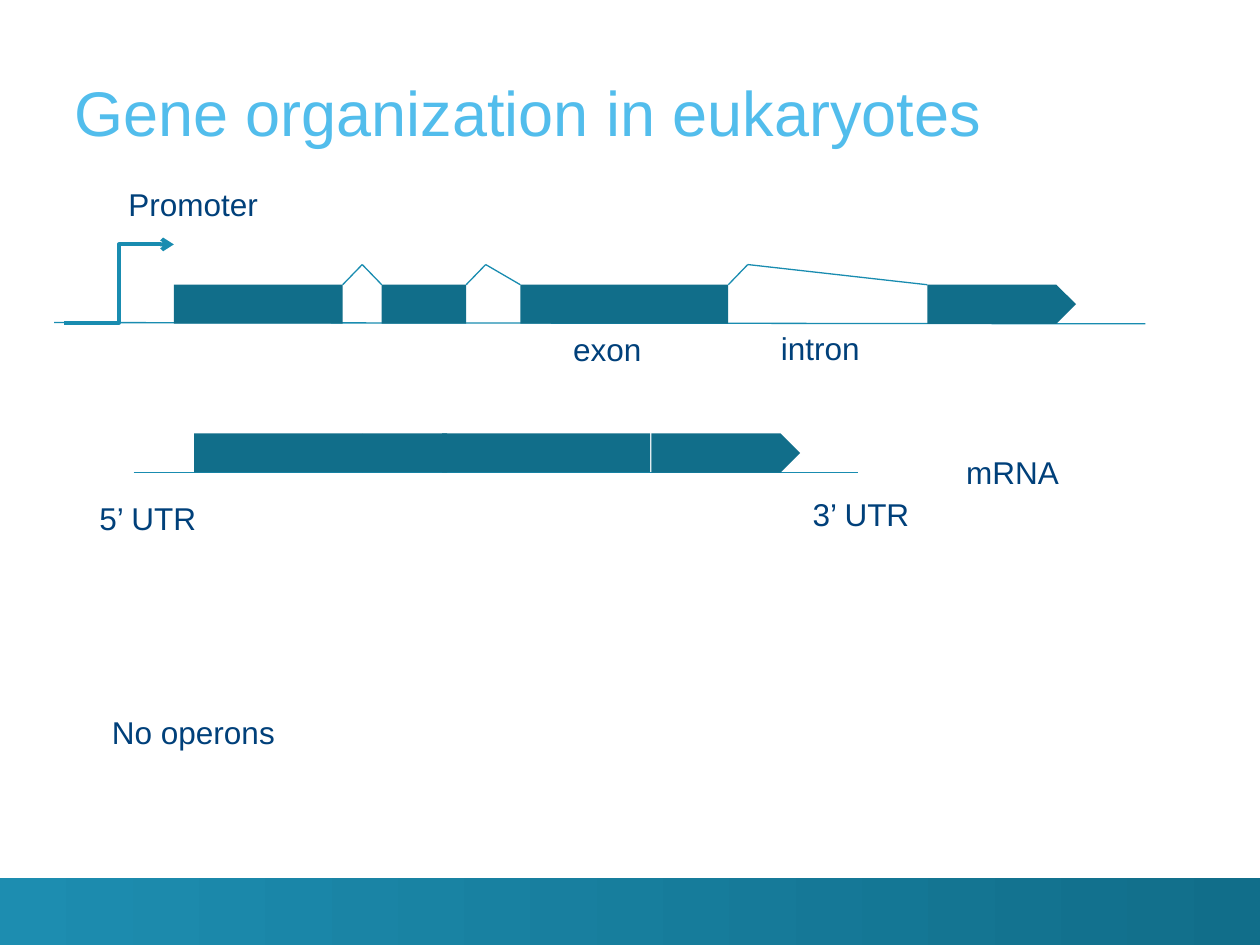
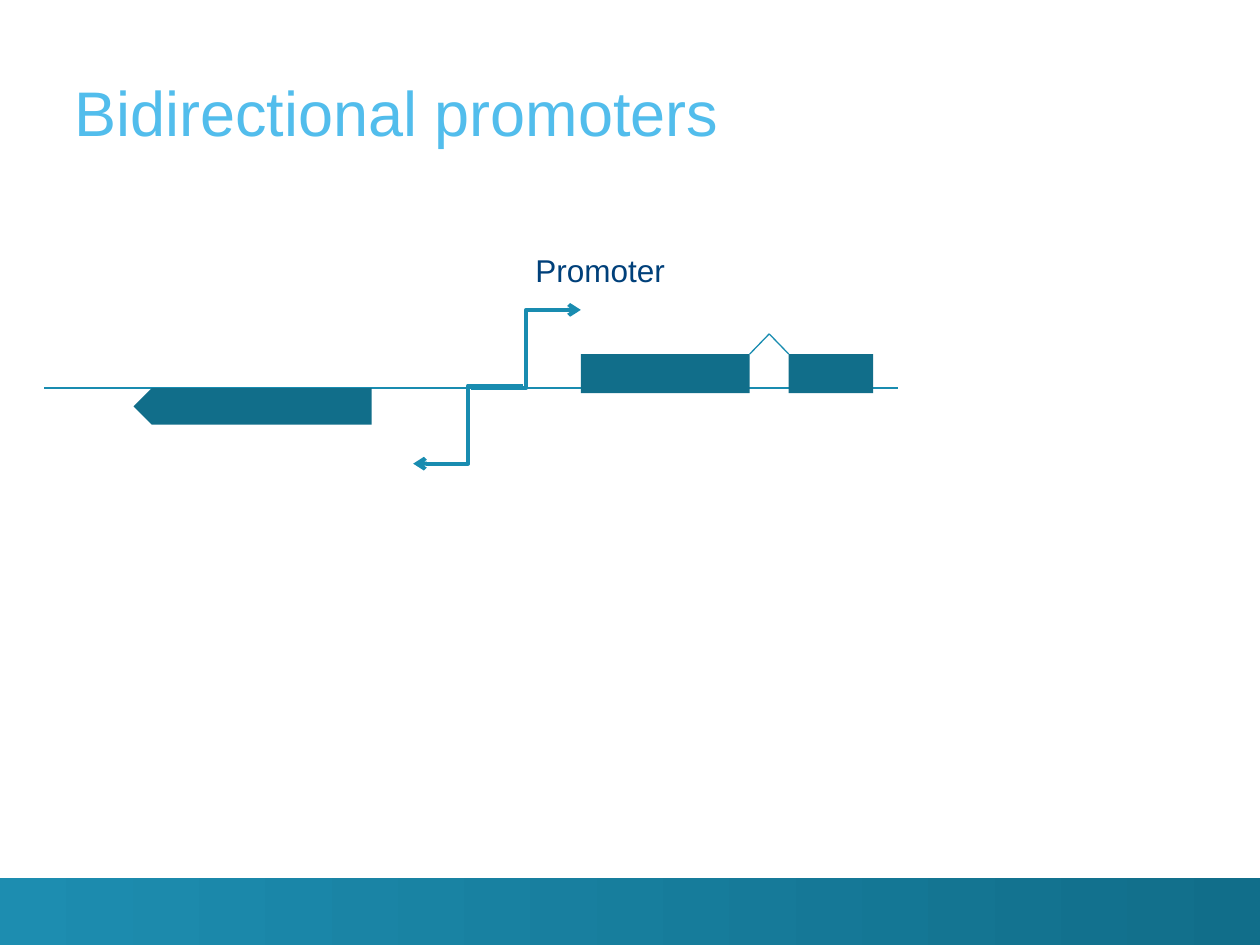
"""Build two slides on eukaryotic gene organization and bidirectional promoters."""
from lxml import etree
from pptx import Presentation
from pptx.dml.color import RGBColor
from pptx.enum import shapes, text
from pptx.oxml.ns import qn
from pptx.util import Inches, Pt

FONT = "Arial"
TITLE, LABEL, LINE, EXON = "52BDEC", "00407A", "198CB0", "116E8A"
BAND = ("1D8DB0", "116E8A")
EXON_H, PEAK_DX, PEAK_DY = 0.31, 0.155, 0.16
ARROW_W, ARROW_H = 0.87, 0.62
RECT, PLATE = shapes.MSO_SHAPE.RECTANGLE, shapes.MSO_SHAPE.PENTAGON
STRAIGHT, ELBOW = shapes.MSO_CONNECTOR.STRAIGHT, shapes.MSO_CONNECTOR.ELBOW

SLIDES = [
    {
        "title": "Gene organization in eukaryotes",
        "strands": [(1.06, 3.75, 6.81, 3.75), (0.43, 2.56, 9.09, 2.57)],
        "exons": [(1.38, 2.26, 1.34, RECT), (3.03, 2.26, 0.67, RECT),
                  (4.13, 2.26, 1.65, RECT), (7.36, 2.26, 1.18, PLATE)],
        "coding": [(1.54, 3.44, 1.34, RECT), (2.88, 3.44, 0.67, RECT),
                   (3.51, 3.44, 1.65, RECT), (5.17, 3.44, 1.18, PLATE)],
        "promoter": (0.51, 2.56),
        "labels": [("intron", 6.1, 2.56, 0.83), ("exon", 4.45, 2.57, 0.75),
                   ("5’ UTR", 0.69, 3.91, 0.98), ("3’ UTR", 6.35, 3.88, 0.98),
                   ("mRNA", 7.57, 3.55, 0.95), ("No operons", 0.79, 5.61, 1.51)],
    },
    {
        "title": "Bidirectional promoters",
        "strands": [(0.35, 3.08, 7.13, 3.08)],
        "exons": [(4.61, 2.81, 1.34, RECT), (6.26, 2.81, 0.67, RECT)],
        "promoter": (3.74, 3.08),
        "reverse_promoter": (4.15, 3.06),
        "reverse_gene": (1.06, 3.08, 1.89, PLATE, 0.29),
    },
]


def rgb(color):
    return RGBColor.from_string(color)


def style_text(tf, size, color):
    for p in tf.paragraphs:
        p.alignment = text.PP_ALIGN.LEFT
        for r in p.runs:
            r.font.name, r.font.size = FONT, Pt(size)
            r.font.color.rgb = rgb(color)


def add_block(s, x, y, w, kind, h=EXON_H):
    sp = s.shapes.add_shape(kind, Inches(x), Inches(y), Inches(w), Inches(h))
    sp.shadow.inherit = False
    sp.fill.solid()
    sp.fill.fore_color.rgb = rgb(EXON)
    sp.line.fill.background()
    return sp


def add_line(s, x1, y1, x2, y2, kind=STRAIGHT, width=0.75):
    line = s.shapes.add_connector(kind, Inches(x1), Inches(y1), Inches(x2), Inches(y2))
    line.line.color.rgb = rgb(LINE)
    line.line.width = Pt(width)
    etree.SubElement(line._element.spPr, qn("a:effectLst"))
    return line


def add_promoter(s, x, y, direction=1):
    arrow = add_line(s, x, y, x + direction * ARROW_W, y - direction * ARROW_H, ELBOW, 2.25)
    ln = arrow.line._get_or_add_ln()
    etree.SubElement(ln, qn("a:tailEnd"), type="arrow")


def add_label(s, label, x, y, w, wrap=False):
    tf = s.shapes.add_textbox(Inches(x), Inches(y), Inches(w), Inches(0.4)).text_frame
    tf.text = label
    tf.word_wrap = wrap
    tf.auto_size = text.MSO_AUTO_SIZE.SHAPE_TO_FIT_TEXT
    style_text(tf, 18, LABEL)


def add_introns(s, exons):
    for (x, y, w, _), (next_x, *_) in zip(exons, exons[1:]):
        end = x + w
        for foot in (end, next_x):
            add_line(s, foot, y, end + PEAK_DX, y - PEAK_DY)


def add_title(s, title):
    sp = s.shapes.title
    sp.left, sp.top, sp.width, sp.height = map(Inches, (0.59, 0.2, 9.11, 0.98))
    tf = sp.text_frame
    tf.text = title
    tf.vertical_anchor = text.MSO_ANCHOR.BOTTOM
    tf.margin_left = tf.margin_top = tf.margin_right = tf.margin_bottom = 0
    style_text(tf, 36, TITLE)


def move_band_to_layout(s):
    band = add_block(s, 0, 6.97, 10, RECT, 0.53)
    band.fill.gradient()
    band.fill.gradient_angle = 0
    for stop, color in zip(band.fill.gradient_stops, BAND):
        stop.color.rgb = rgb(color)
    s.slide_layout.shapes._spTree.insert(2, band._element)


def add_gene_slide(prs, content):
    s = prs.slides.add_slide(prs.slide_layouts[5])
    add_title(s, content["title"])
    for strand in content["strands"]:
        add_line(s, *strand)
    for block in content["exons"] + content.get("coding", []):
        add_block(s, *block)
    add_introns(s, content["exons"])
    x, y = content["promoter"]
    add_promoter(s, x, y)
    add_label(s, "Promoter", x + 0.41, y - 1.14, 1.88, wrap=True)
    for label in content.get("labels", []):
        add_label(s, *label)
    if "reverse_gene" in content:
        add_promoter(s, *content["reverse_promoter"], direction=-1)
        add_block(s, *content["reverse_gene"]).rotation = 180
    return s


def main():
    prs = Presentation()
    prs.slide_width, prs.slide_height = Inches(10), Inches(7.5)
    built = [add_gene_slide(prs, content) for content in SLIDES]
    move_band_to_layout(built[0])
    prs.save("out.pptx")


if __name__ == "__main__":
    main()
